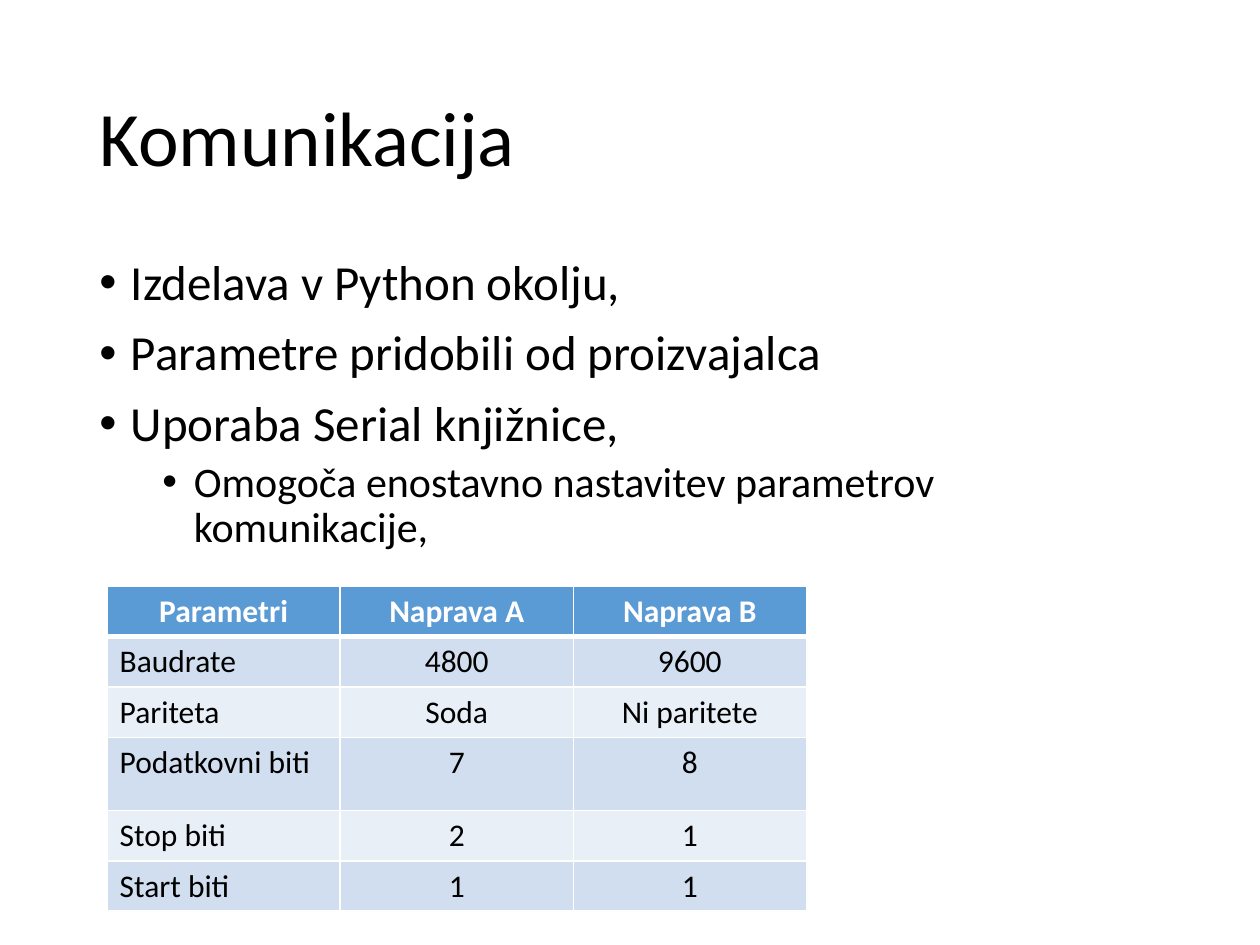
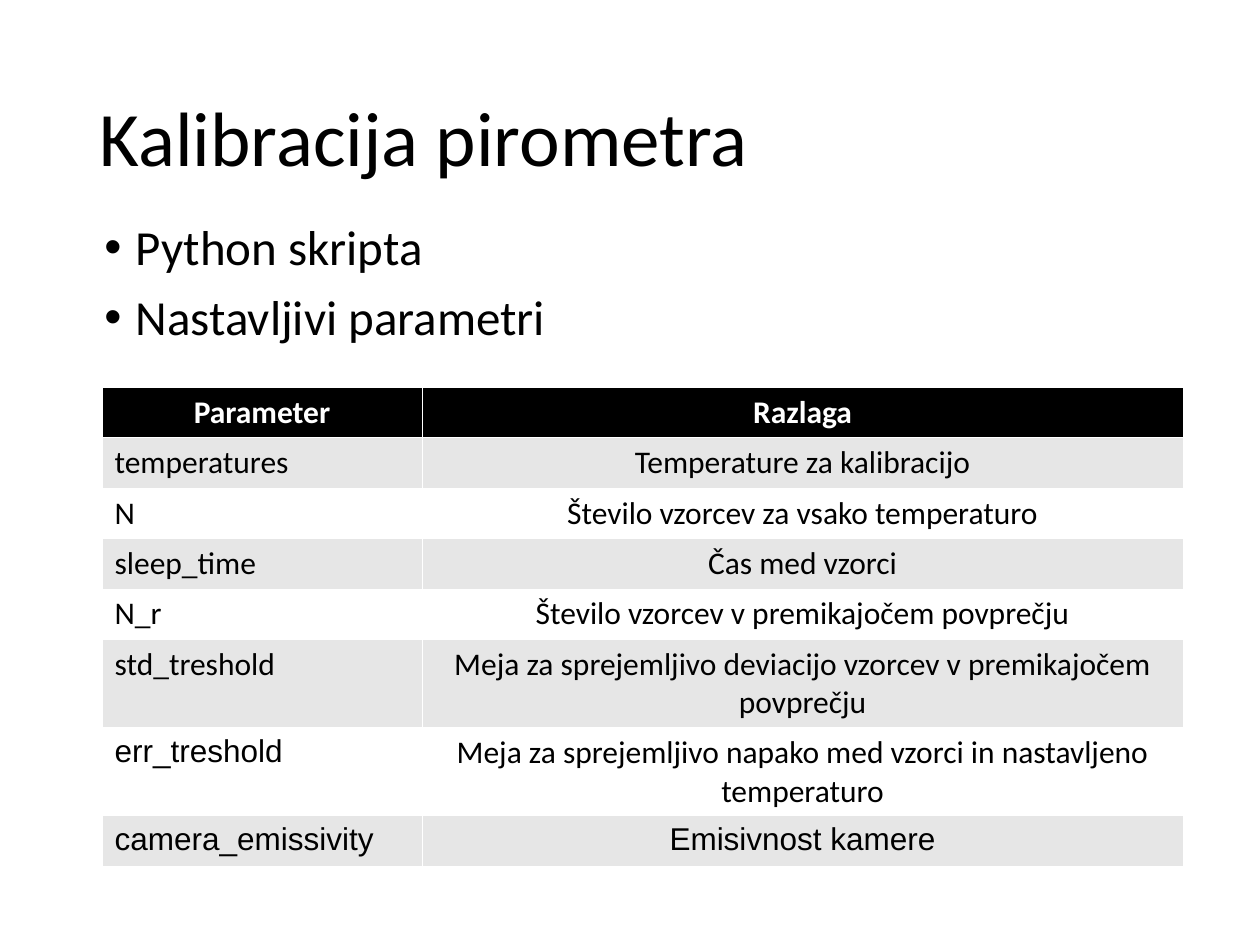
from dataclasses import dataclass, field
from typing import Any

from lxml.etree import SubElement
from pptx import Presentation
from pptx.dml.color import RGBColor
from pptx.enum.text import MSO_ANCHOR as Anchor, MSO_AUTO_SIZE as AutoSize, PP_ALIGN as Align
from pptx.oxml import parse_xml
from pptx.oxml.ns import nsdecls, qn
from pptx.slide import Slide
from pptx.util import Inches, Pt


@dataclass(frozen=True)
class Theme:
    font: str = "Calibri"
    code_font: str = "Arial"
    ink: str = "000000"
    paper: str = "FFFFFF"
    blue: str = "5B9BD5"
    blue_bands: tuple[str, str] = ("D1DEEF", "E9EFF7")
    grey_bands: tuple[str, str] = ("E6E6E6", "FFFFFF")
    title_size: float = 44
    bullet_sizes: tuple[float, float] = (28, 24)
    bullet_gaps: tuple[float, float] = (10, 5)
    cell_size: float = 18
    line_spacing: float = 0.9


THEME = Theme()
TITLE_ONLY = 5


@dataclass(frozen=True)
class Bullet:
    text: str
    level: int = 0


@dataclass(frozen=True)
class TableSpec:
    left: float
    top: float
    widths: list[float]
    rows: list[tuple[str, ...]]
    header_fill: str
    bands: tuple[str, str]
    border: float
    header_border: float
    row_height: float = 0.37
    tall_rows: dict[int, float] = field(default_factory=dict)
    code_cells: set[tuple[int, int]] = field(default_factory=set)


@dataclass(frozen=True)
class Page:
    title: str
    body_left: float
    body_top: float
    bullets: list[Bullet]
    table: TableSpec


PAGES = [
    Page(
        "Komunikacija", 0.69, 2,
        [
            Bullet("Izdelava v Python okolju,"),
            Bullet("Parametre pridobili od proizvajalca"),
            Bullet("Uporaba Serial knjižnice,"),
            Bullet("Omogoča enostavno nastavitev parametrov komunikacije,", 1),
        ],
        TableSpec(
            0.85, 4.65, [1.85] * 3,
            [
                ("Parametri", "Naprava A", "Naprava B"),
                ("Baudrate", "4800", "9600"),
                ("Pariteta", "Soda", "Ni paritete"),
                ("Podatkovni biti", "7", "8"),
                ("Stop biti", "2", "1"),
                ("Start biti", "1", "1"),
            ],
            THEME.blue, THEME.blue_bands, 0.96, 3, tall_rows={3: 0.58},
        ),
    ),
    Page(
        "Kalibracija pirometra", 0.73, 1.72,
        [Bullet("Python skripta"), Bullet("Nastavljivi parametri")],
        TableSpec(
            0.81, 3.07, [2.54, 6.04],
            [
                ("Parameter", "Razlaga"),
                ("temperatures", "Temperature za kalibracijo"),
                ("N", "Število vzorcev za vsako temperaturo"),
                ("sleep_time", "Čas med vzorci"),
                ("N_r", "Število vzorcev v premikajočem povprečju"),
                ("std_treshold", "Meja za sprejemljivo deviacijo vzorcev v premikajočem povprečju"),
                ("err_treshold", "Meja za sprejemljivo napako med vzorci in nastavljeno temperaturo"),
                ("camera_emissivity", "Emisivnost kamere"),
            ],
            THEME.ink, THEME.grey_bands, 0.06, 0.06,
            code_cells={(6, 0), (7, 0), (7, 1)},
        ),
    ),
]


def set_all(target: Any, values: dict[str, Any]) -> None:
    for name, value in values.items():
        setattr(target, name, value)


def write(para: Any, text: str, size: float, color: str = THEME.ink,
          font: str = THEME.font, bold: bool = False) -> None:
    span = para.add_run()
    span.text = text
    set_all(span.font, {"name": font, "size": Pt(size), "bold": bold})
    span.font.color.rgb = RGBColor.from_string(color)


def add_title(slide: Slide, text: str) -> None:
    title = slide.shapes.title
    set_all(title, {"left": Inches(0.69), "top": Inches(0.4),
                    "width": Inches(8.62), "height": Inches(1.45)})
    set_all(title.text_frame, {"word_wrap": True, "auto_size": AutoSize.NONE,
                               "vertical_anchor": Anchor.MIDDLE})
    para = title.text_frame.paragraphs[0]
    set_all(para, {"alignment": Align.LEFT, "line_spacing": THEME.line_spacing})
    write(para, text, THEME.title_size)


def add_bullets(slide: Slide, page: Page) -> None:
    box = slide.shapes.add_textbox(Inches(page.body_left), Inches(page.body_top),
                                   Inches(8.62), Inches(4.76))
    frame = box.text_frame
    frame.word_wrap = True
    for index, bullet in enumerate(page.bullets):
        para = frame.add_paragraph() if index else frame.paragraphs[0]
        set_all(para, {"level": bullet.level, "line_spacing": THEME.line_spacing,
                       "space_before": Pt(THEME.bullet_gaps[bullet.level])})
        props = para._p.get_or_add_pPr()
        props.set("marL", str(Inches(0.25 + 0.5 * bullet.level)))
        props.set("indent", str(Inches(-0.25)))
        color = SubElement(props, qn("a:buClr"))
        SubElement(color, qn("a:srgbClr"), val=THEME.ink)
        SubElement(props, qn("a:buFont"), typeface=THEME.code_font)
        SubElement(props, qn("a:buChar"), char="•")
        write(para, bullet.text, THEME.bullet_sizes[bullet.level])


def set_borders(cell: Any, top: float, bottom: float, side: float) -> None:
    props = cell._tc.get_or_add_tcPr()
    edges = {"lnL": side, "lnR": side, "lnT": top, "lnB": bottom}
    for index, (edge, width) in enumerate(edges.items()):
        props.insert(index, parse_xml(
            f'<a:{edge} {nsdecls("a")} w="{Pt(width)}"><a:solidFill>'
            f'<a:srgbClr val="{THEME.paper}"/></a:solidFill></a:{edge}>'))


def add_table(slide: Slide, spec: TableSpec) -> None:
    heights = [spec.tall_rows.get(row, spec.row_height) for row in range(len(spec.rows))]
    table = slide.shapes.add_table(
        len(spec.rows), len(spec.widths), Inches(spec.left), Inches(spec.top),
        Inches(sum(spec.widths)), Inches(sum(heights))).table
    for column, width in zip(table.columns, spec.widths):
        column.width = Inches(width)
    for row_index, (values, height) in enumerate(zip(spec.rows, heights)):
        table.rows[row_index].height = Inches(height)
        header = row_index == 0
        fill = spec.header_fill if header else spec.bands[(row_index - 1) % 2]
        for column_index, value in enumerate(values):
            cell = table.cell(row_index, column_index)
            cell.fill.solid()
            cell.fill.fore_color.rgb = RGBColor.from_string(fill)
            set_borders(cell, spec.header_border if row_index == 1 else spec.border,
                        spec.header_border if header else spec.border, spec.border)
            para = cell.text_frame.paragraphs[0]
            para.alignment = Align.CENTER if header or column_index else Align.LEFT
            is_code = (row_index, column_index) in spec.code_cells
            write(para, value, THEME.cell_size, THEME.paper if header else THEME.ink,
                  THEME.code_font if is_code else THEME.font, header)


def main() -> None:
    deck = Presentation()
    set_all(deck, {"slide_width": Inches(10), "slide_height": Inches(7.5)})
    for page in PAGES:
        slide = deck.slides.add_slide(deck.slide_layouts[TITLE_ONLY])
        add_title(slide, page.title)
        add_bullets(slide, page)
        add_table(slide, page.table)
    deck.save("out.pptx")


if __name__ == "__main__":
    main()
